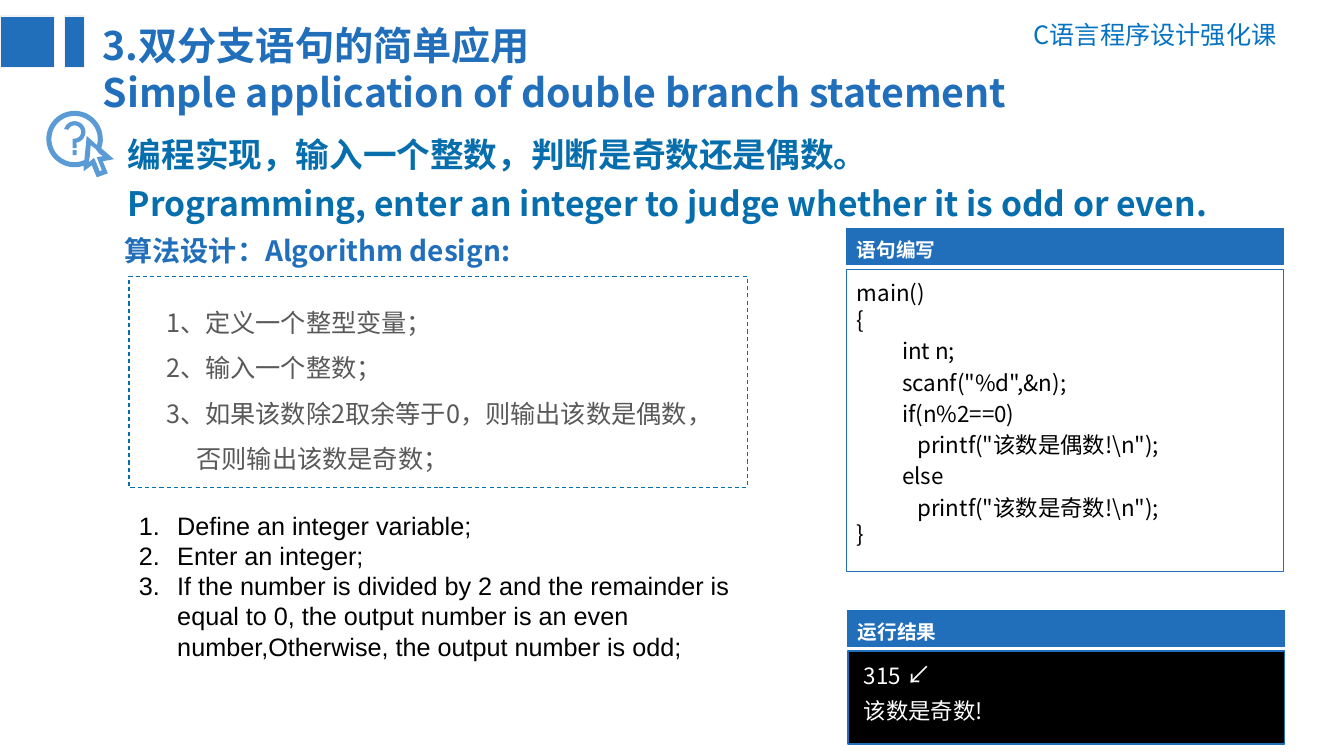
from math import cos, radians, sin

from lxml.etree import SubElement
from pptx import Presentation
from pptx.dml.color import RGBColor
from pptx.enum.dml import MSO_LINE_DASH_STYLE as Dash
from pptx.enum.shapes import MSO_SHAPE as Shape
from pptx.enum.text import PP_ALIGN as Align
from pptx.oxml.ns import qn
from pptx.util import Inches, Pt

COLORS = {
    "blue": "216FBA", "deep": "076EAD", "course": "0573C2", "icon": "5B9BD5",
    "edge": "F2F2F2", "grey": "595959", "black": "000000", "white": "FFFFFF",
}


def color(name):
    return RGBColor.from_string(COLORS[name])


def arc(center, radius, start, end, steps=40):
    """Points along a circle; angles in degrees, clockwise from the right."""
    angles = [radians(start + (end - start) * i / steps) for i in range(steps + 1)]
    return [(center[0] + radius * cos(a), center[1] + radius * sin(a)) for a in angles]


class SlideBuilder:
    """Draws on one page; lengths are columns and rows of a 0.1 inch grid."""

    CELL = Inches(0.1)
    FONT = "Noto Sans CJK SC"
    LEADING = 1.2

    def __init__(self, page):
        self.page = page

    def cells(self, *lengths):
        return [round(length * self.CELL) for length in lengths]

    def rect(self, area, fill=None, line="blue", width=0.75, dash=None):
        box = self.page.shapes.add_shape(Shape.RECTANGLE, *self.cells(*area))
        box.shadow.inherit = False
        if fill:
            box.fill.solid()
            box.fill.fore_color.rgb = color(fill)
        else:
            box.fill.background()
        box.line.color.rgb = color(line)
        box.line.width = Pt(width)
        if dash:
            box.line.dash_style = dash

    def text(self, area, lines, size, tint, bold=False, leading=None, font=FONT, align=None):
        """Write one paragraph per line and return the paragraphs."""
        frame = self.page.shapes.add_textbox(*self.cells(*area)).text_frame
        frame.word_wrap = True
        frame.text = "\n".join(lines)
        for para in frame.paragraphs:
            para.line_spacing = Pt(size * (leading or self.LEADING))
            para.alignment = align
            para.font.size = Pt(size)
            para.font.bold = bold
            para.font.name = font
            para.font.color.rgb = color(tint)
            SubElement(para.font._element, qn("a:ea"), typeface=font)
        return frame.paragraphs

    def indent(self, para, left, first=0, numbered=False):
        left, first = self.cells(left, first)
        properties = para._p.get_or_add_pPr()
        properties.set("marL", str(left))
        properties.set("indent", str(first))
        if numbered:
            number = properties.makeelement(qn("a:buAutoNum"), {"type": "arabicPeriod"})
            properties.find(qn("a:defRPr")).addprevious(number)

    def outline(self, contours, fill):
        contours = [[self.cells(*point) for point in points] for points in contours]
        builder = self.page.shapes.build_freeform(*contours[0][0])
        for i, (start, *rest) in enumerate(contours):
            if i:
                builder.move_to(*start)
            builder.add_line_segments(rest, close=True)
        icon = builder.convert_to_shape()
        icon.shadow.inherit = False
        icon.fill.solid()
        icon.fill.fore_color.rgb = color(fill)
        icon.line.fill.background()

    def panel(self, left, top, title, height, fill=None, width=0.75):
        """A titled bar with a framed area below it."""
        self.rect((left, top, 43.3, 3.5), "blue")
        self.rect((left, top + 4, 43.3, height), fill, width=width)
        self.text((left, top + 0.4, 12, 3.3), [title], 14, "white", bold=True)


def draw_heading(slide):
    slide.text((97.6, 1.4, 30, 4), ["C语言程序设计强化课"], 18, "course", align=Align.RIGHT)
    slide.text((9.2, 1.6, 107.7, 10.4),
               ["3.双分支语句的简单应用", "Simple application of double branch statement"],
               28, "blue", bold=True)
    for left, width in ((0, 5.4), (6.4, 2)):
        slide.rect((left, 1.6, width, 5.1), "blue", "edge", 1)


def draw_question_icon(slide):
    ring, hook = (7.4, 13.8), (7.4, 13.1)
    slide.outline([
        [(7.2, 14.9), (7.6, 14.9), (7.6, 15.4), (7.2, 15.4)],
        [(9, 14.4), (8.9, 15.6), (8.8, 16.1), (9.3, 15.7), (9.4, 15.8), (9.9, 17),
         (10.1, 16.9), (9.6, 15.6), (10.2, 15.5), (9.8, 15.2), (9.5, 14.8)],
        arc(hook, 1.07, 195, 440) + [(7.6, 14.7), (7.2, 14.7), (7.2, 13.8)]
        + arc(hook, 0.65, 90, -160),
        arc(ring, 2.3, 65, 375) + [(8.6, 13.5)],
        arc(ring, 2.8, 71, 379) + [(11.3, 15.8), (10.2, 16), (10.7, 17.2), (9.6, 17.6),
                                   (9.1, 16.4), (8.3, 17)],
    ], "icon")


def draw_algorithm(slide):
    slide.text((11.7, 11.9, 120.4, 10.3),
               ["编程实现，输入一个整数，判断是奇数还是偶数。",
                "Programming, enter an integer to judge whether it is odd or even."],
               24, "deep", bold=True, leading=1.46)
    slide.text((11.4, 22, 64.4, 4.7), ["算法设计：Algorithm design:"], 20, "blue",
               bold=True, leading=1.44)
    slide.rect((12.8, 27.4, 61.3, 21), line="deep", dash=Dash.DASH)
    steps = slide.text((15.5, 28.5, 60, 18.7),
                       ["1、定义一个整型变量；", "2、输入一个整数；",
                        "3、如果该数除2取余等于0，则输出该数是偶数，", "否则输出该数是奇数；"],
                       18, "grey", leading=1.8)
    slide.indent(steps[-1], 3)
    for para in slide.text((12.8, 50.1, 66.7, 16.2),
                           ["Define an integer variable;", "Enter an integer;",
                            "If the number is divided by 2 and the remainder is equal to 0, "
                            "the output number is an even number,Otherwise, "
                            "the output number is odd;"],
                           18, "black", font="Arial"):
        slide.indent(para, 3.8, -3.8, numbered=True)


def draw_code(slide):
    slide.panel(84, 22.7, "语句编写", 30)
    frame = slide.text((84, 27.2, 35.1, 27.7), ["main()", "{", "}"], 16, "black")
    frame[-1].space_before = Pt(134)
    statements = [(0, "int n;"), (0, 'scanf("%d",&n);'), (0, "if(n%2==0)"),
                  (1.5, 'printf("该数是偶数!\\n");'), (0, "else"),
                  (1.5, 'printf("该数是奇数!\\n");')]
    for row, (left, statement) in enumerate(statements):
        paras = slide.text((88.5, 33 + 3.1 * row, 30.7, 3.7), [statement], 16, "black")
        slide.indent(paras[0], left)


def draw_result(slide):
    slide.panel(84.1, 60.6, "运行结果", 9.2, "black", 1)
    entry = slide.text((84.7, 65.3, 19, 4), ["315 "], 16, "white")[0]
    enter_key = entry.add_run()
    enter_key.text = "↙"
    enter_key.font.size = Pt(18)
    slide.text((84.7, 68.7, 18.9, 3.7), ["该数是奇数!"], 16, "white")


def main():
    deck = Presentation()
    deck.slide_width, deck.slide_height = Inches(13.33), Inches(7.5)
    slide = SlideBuilder(deck.slides.add_slide(deck.slide_layouts[6]))
    for draw in (draw_heading, draw_question_icon, draw_algorithm, draw_code, draw_result):
        draw(slide)
    deck.save("out.pptx")


if __name__ == "__main__":
    main()
